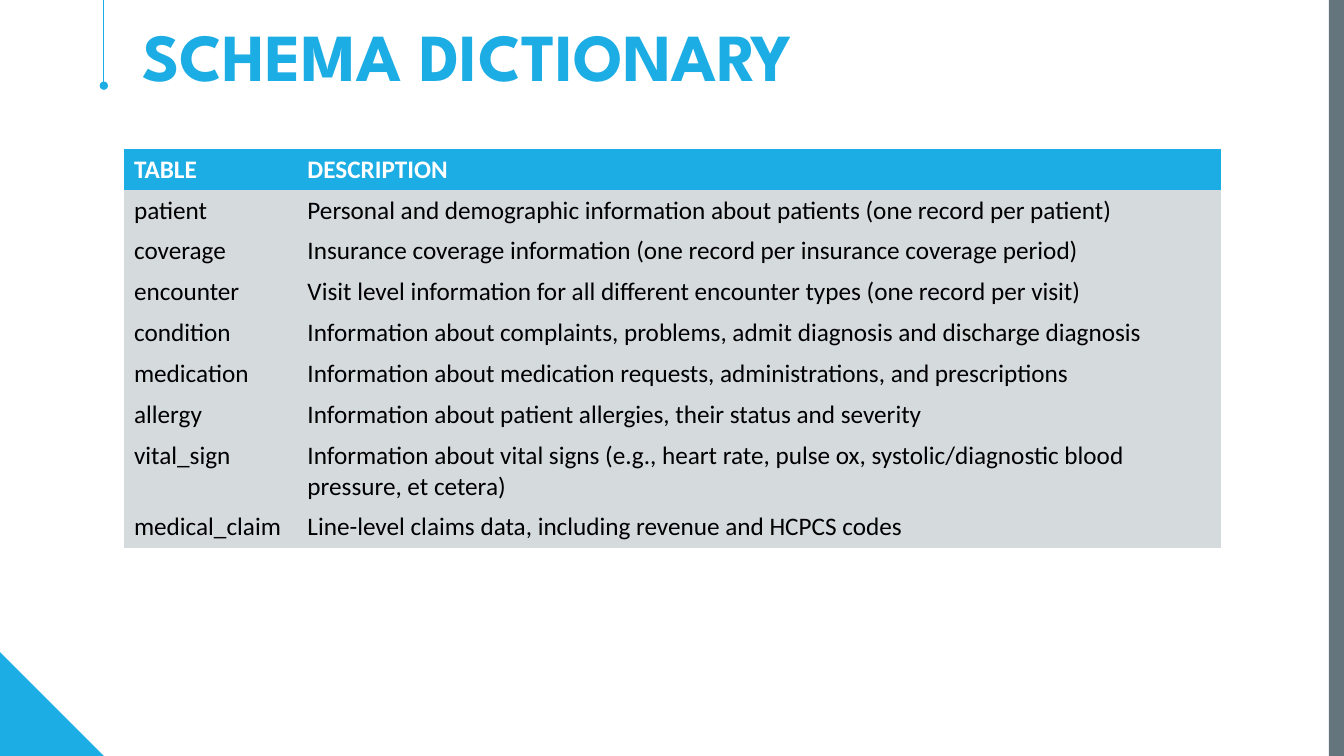
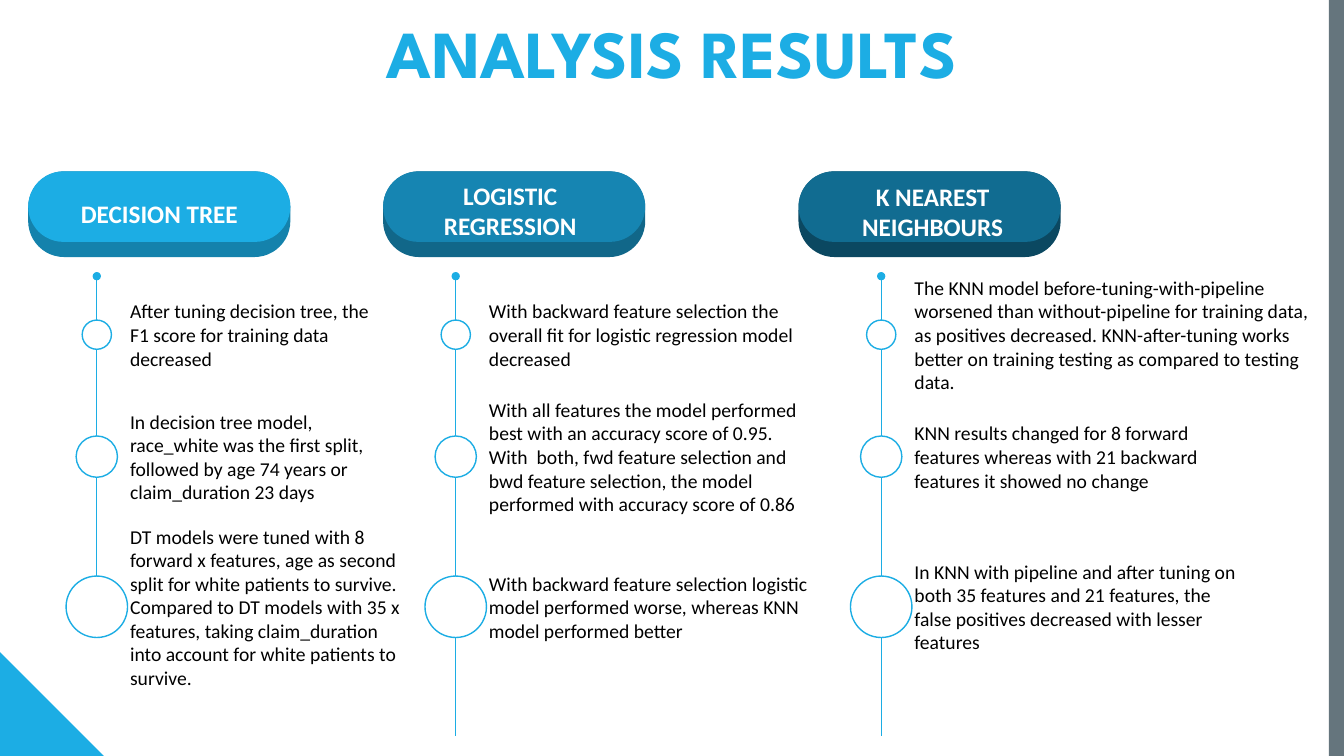
from lxml import etree
from pptx import Presentation
from pptx.dml.color import RGBColor
from pptx.enum import shapes, text
from pptx.oxml import ns
from pptx.util import Inches, Pt

BLUE = RGBColor(0x1C, 0xAD, 0xE4)
SLATE = RGBColor(0x65, 0x75, 0x7D)
ROW_GREY = RGBColor(0xD5, 0xDA, 0xDD)
WHITE = RGBColor(0xFF, 0xFF, 0xFF)
BLACK = RGBColor(0, 0, 0)
BODY_FONT, TITLE_FONT = "Calibri", "League Spartan"
SLIDE_W, SLIDE_H = 13.33, 7.5
NO_GRID_STYLE = "{2D5ABB26-0587-4C30-8999-92F81FD0307C}"
LEFT, CENTER = text.PP_ALIGN.LEFT, text.PP_ALIGN.CENTER
TOP, MIDDLE = text.MSO_ANCHOR.TOP, text.MSO_ANCHOR.MIDDLE
SHAPE = shapes.MSO_SHAPE

SCHEMA = [
    ("TABLE", "DESCRIPTION"),
    ("patient", "Personal and demographic information about patients (one record per patient)"),
    ("coverage", "Insurance coverage information (one record per insurance coverage period)"),
    ("encounter", "Visit level information for all different encounter types (one record per visit)"),
    ("condition", "Information about complaints, problems, admit diagnosis and discharge diagnosis"),
    ("medication", "Information about medication requests, administrations, and prescriptions"),
    ("allergy", "Information about patient allergies, their status and severity"),
    ("vital_sign", "Information about vital signs (e.g., heart rate, pulse ox, "
                   "systolic/diagnostic blood pressure, et cetera)"),
    ("medical_claim", "Line-level claims data, including revenue and HCPCS codes"),
]

# Timeline nodes shared by all columns: centre y, circle diameter, text height
NODES = [(3.32, 0.29, 1.18), (4.53, 0.41, 1.18), (6.02, 0.61, 1.65)]

# Each column: heading, its offset in the pill, pill left and colours,
# timeline x and end, and (text width, paragraphs) per node
MODELS = [
    dict(heading="DECISION TREE", offset=(0.41, 0.27), pill_x=0.28,
         face=BLUE, base=RGBColor(0x14, 0x82, 0xAC), line_x=0.96, line_end=5.72,
         findings=[
             (2.6, ["After tuning decision tree, the F1 score for training data decreased"]),
             (2.6, ["In decision tree model, race_white was the first split, followed by "
                    "age 74 years or claim_duration 23 days"]),
             (2.73, ["DT models were tuned with 8 forward x features, age as second split for "
                     "white patients to survive. Compared to DT models with 35 x features, "
                     "taking claim_duration into account for white patients to survive."]),
         ]),
    dict(heading="LOGISTIC REGRESSION", offset=(0.37, 0.09), pill_x=3.8,
         face=RGBColor(0x16, 0x85, 0xB2), base=RGBColor(0x11, 0x67, 0x89),
         line_x=4.52, line_end=7.3,
         findings=[
             (3.17, ["With backward feature selection the overall fit for logistic "
                     "regression model decreased"]),
             (3.26, ["With all features the model performed best with an accuracy score of 0.95.",
                     "With  both, fwd feature selection and bwd feature selection, the model "
                     "performed with accuracy score of 0.86"]),
             (3.26, ["With backward feature selection logistic model performed worse, "
                     "whereas KNN model performed better"]),
         ]),
    dict(heading="K NEAREST NEIGHBOURS", offset=(0.44, 0.1), pill_x=7.92,
         face=RGBColor(0x11, 0x6C, 0x91), base=RGBColor(0x0B, 0x48, 0x61),
         line_x=8.74, line_end=7.3,
         findings=[
             (4.03, ["The KNN model before-tuning-with-pipeline worsened than without-pipeline "
                     "for training data, as positives decreased. KNN-after-tuning works better "
                     "on training testing as compared to testing data."]),
             (3.26, ["KNN results changed for 8 forward features whereas with 21 backward "
                     "features it showed no change"]),
             (3.26, ["In KNN with pipeline and after tuning on both 35 features and 21 features, "
                     "the false positives decreased with lesser features"]),
         ]),
]


def box(x, y, w, h):
    return [Inches(v) for v in (x, y, w, h)]


def add_run(p, words, size, color, bold=False, font=BODY_FONT):
    r = p.add_run()
    r.text = words
    r.font.name, r.font.size, r.font.bold = font, Pt(size), bold
    r.font.color.rgb = color


def set_frame(tf, anchor):
    tf.word_wrap = True
    tf.auto_size = text.MSO_AUTO_SIZE.NONE
    tf.vertical_anchor = anchor
    tf.margin_left = tf.margin_right = tf.margin_top = tf.margin_bottom = 0


def add_text(parent, at, paragraphs, size, color, bold=False, align=LEFT, anchor=TOP):
    tf = parent.add_textbox(*box(*at)).text_frame
    set_frame(tf, anchor)
    for i, words in enumerate(paragraphs):
        p = tf.add_paragraph() if i else tf.paragraphs[0]
        p.alignment = align
        add_run(p, words, size, color, bold)


def add_shape(parent, kind, at, fill, line=None):
    sp = parent.add_shape(kind, *box(*at))
    sp.shadow.inherit = False
    sp.fill.solid()
    sp.fill.fore_color.rgb = fill
    if line is None:
        sp.line.fill.background()
    else:
        sp.line.color.rgb = line
        sp.line.width = Pt(1)
    return sp


def dotted_line(s, x, dot_y, end_y):
    """Thin vertical line with a round dot at dot_y."""
    line = s.shapes.add_connector(shapes.MSO_CONNECTOR.STRAIGHT, Inches(x), Inches(dot_y),
                                  Inches(x), Inches(end_y))
    line.line.color.rgb = BLUE
    line.line.width = Pt(0.5)
    etree.SubElement(line.line._get_or_add_ln(), ns.qn("a:headEnd"), type="oval")
    etree.SubElement(line._element.spPr, ns.qn("a:effectLst"))


def base_slide(prs, title, at, align):
    """Title, corner triangle and right-hand band."""
    s = prs.slides.add_slide(prs.slide_layouts[5])
    add_shape(s.shapes, SHAPE.RIGHT_TRIANGLE, (0, SLIDE_H - 1.03, 1.03, 1.03), BLUE)
    add_shape(s.shapes, SHAPE.RECTANGLE, (SLIDE_W - 0.15, 0, 0.15, SLIDE_H), SLATE)
    sp = s.shapes.title
    sp.left, sp.top, sp.width, sp.height = box(*at)
    set_frame(sp.text_frame, TOP)
    p = sp.text_frame.paragraphs[0]
    p.alignment, p.line_spacing = align, 0.9
    add_run(p, title, 48, BLUE, True, TITLE_FONT)
    return s


def schema_table(s, x, y, widths, row_h):
    frame = s.shapes.add_table(len(SCHEMA), len(widths),
                               *box(x, y, sum(widths), row_h * len(SCHEMA)))
    table = frame.table
    table.horz_banding = False
    table._tbl.tblPr.find(ns.qn("a:tableStyleId")).text = NO_GRID_STYLE
    for column, width in zip(table.columns, widths):
        column.width = Inches(width)
    for i, row in enumerate(SCHEMA):
        header = i == 0
        for j, words in enumerate(row):
            cell = table.cell(i, j)
            cell.fill.solid()
            cell.fill.fore_color.rgb = BLUE if header else ROW_GREY
            add_run(cell.text_frame.paragraphs[0], words, 18,
                    WHITE if header else BLACK, header)


def heading_pill(s, x, y, model):
    """Two-tone rounded heading."""
    group = s.shapes.add_group_shape().shapes
    for height, radius, fill in ((0.85, 0.42, model["base"]), (0.7, 0.5, model["face"])):
        sp = add_shape(group, SHAPE.ROUNDED_RECTANGLE, (x, y, 2.6, height), fill)
        sp.adjustments[0] = radius
    dx, dy = model["offset"]
    add_text(group, (x + dx, y + dy, 1.78, 0.61), [model["heading"]], 18, WHITE, True, CENTER)


def model_column(s, model):
    heading_pill(s, model["pill_x"], 1.7, model)
    x = model["line_x"]
    dotted_line(s, x, 2.74, model["line_end"])
    for (mid, size, height), (width, paragraphs) in zip(NODES, model["findings"]):
        add_shape(s.shapes, SHAPE.OVAL, (x - size / 2, mid - size / 2, size, size), WHITE, BLUE)
        add_text(s.shapes, (x + 0.33, mid - height / 2, width, height), paragraphs,
                 14, BLACK, anchor=MIDDLE)


def schema_slide(prs):
    s = base_slide(prs, "SCHEMA DICTIONARY", (1.41, 0.23, 7.77, 0.73), LEFT)
    dotted_line(s, 1.03, 0.85, 0)
    schema_table(s, 1.23, 1.48, (1.72, 9.16), 0.4)


def results_slide(prs):
    s = base_slide(prs, "ANALYSIS RESULTS", (0.74, 0.2, 11.85, 0.73), CENTER)
    for model in MODELS:
        model_column(s, model)


def main():
    prs = Presentation()
    prs.slide_width, prs.slide_height = Inches(SLIDE_W), Inches(SLIDE_H)
    schema_slide(prs)
    results_slide(prs)
    prs.save("out.pptx")


if __name__ == "__main__":
    main()
